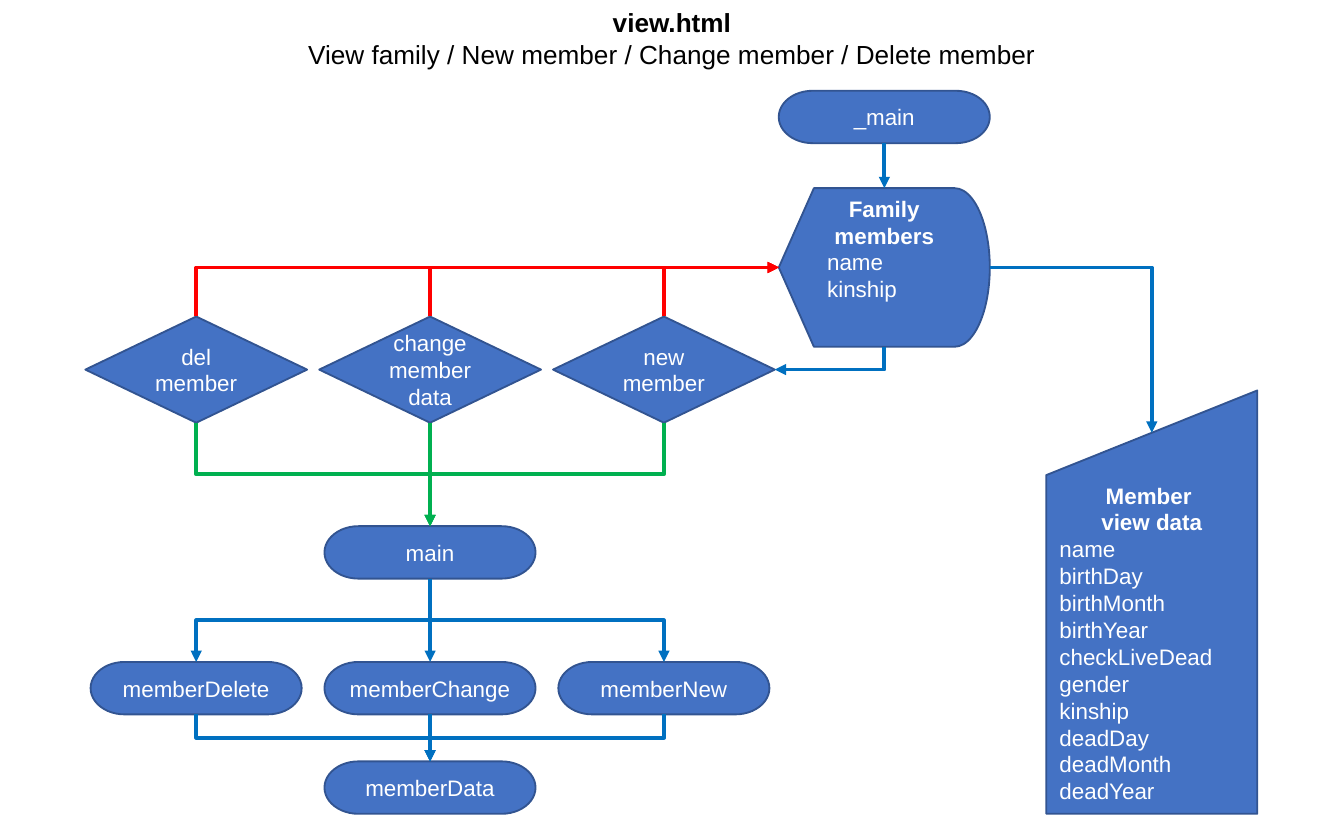
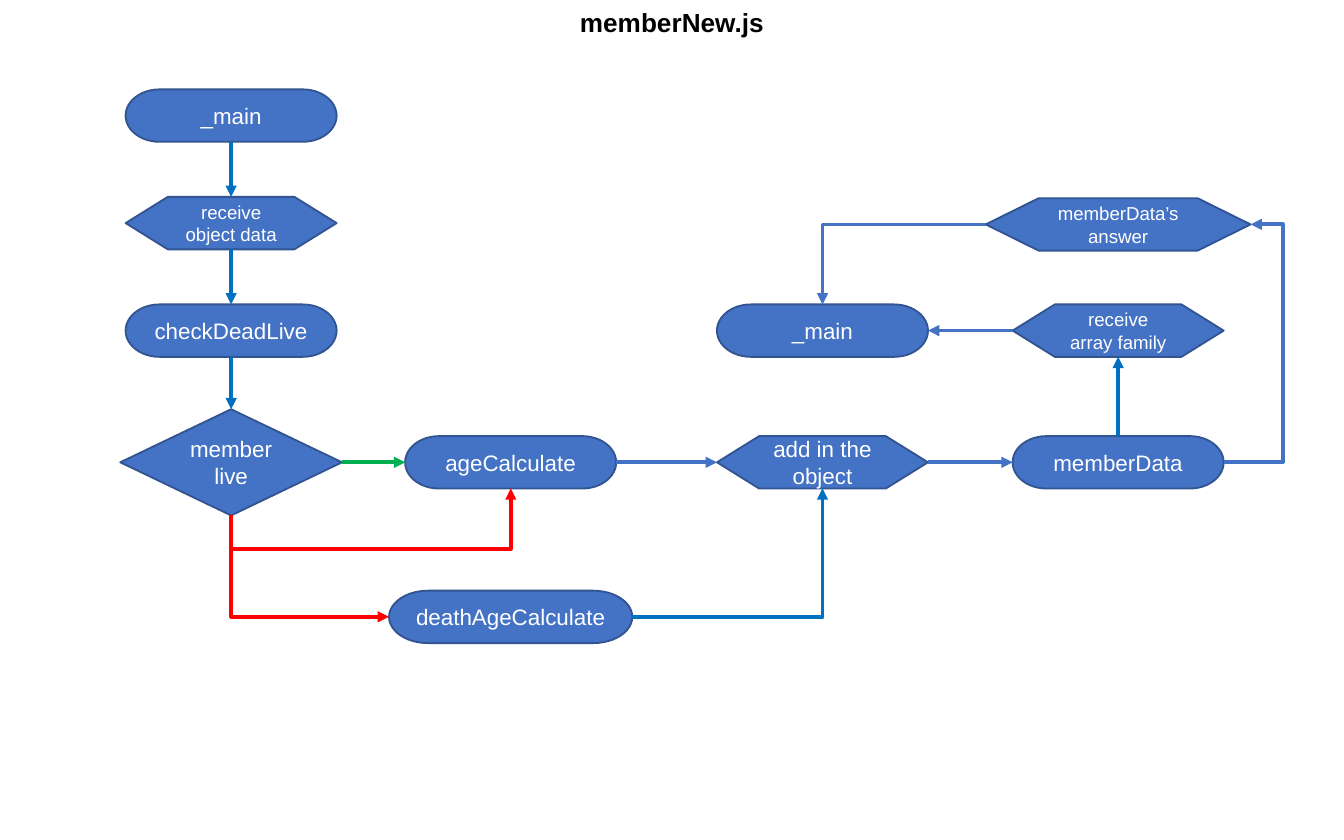
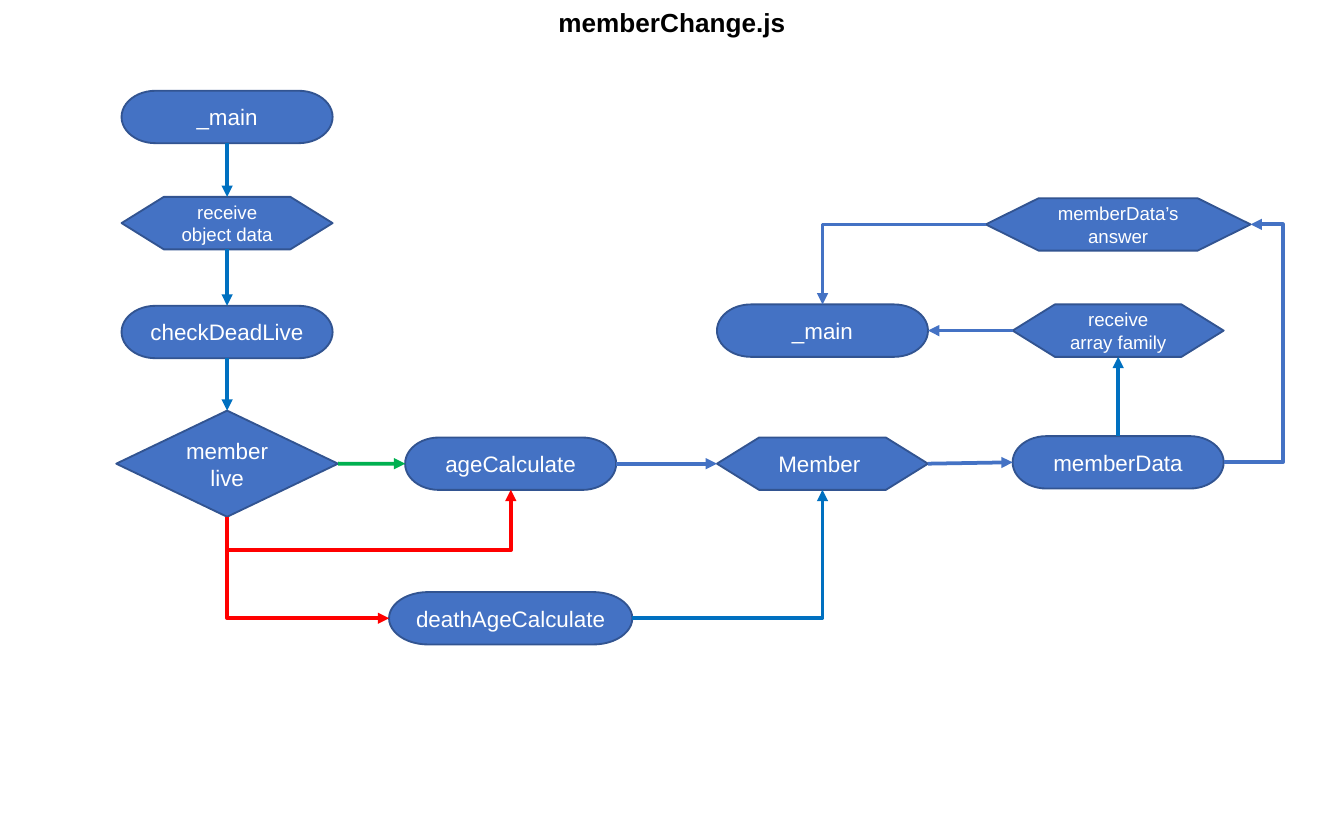
from lxml import etree
from pptx import Presentation
from pptx import util as u
from pptx.dml import color as dml
from pptx.enum import shapes, text
from pptx.oxml import ns

COLORS = {"node": "4472C4", "edge": "325491", "flow": "0070C0", "yes": "00B050",
          "no": "FF0000", "light": "FFFFFF", "dark": "000000"}
KINDS = shapes.MSO_SHAPE
TERMINAL = KINDS.FLOWCHART_TERMINATOR
PREPARE = KINDS.FLOWCHART_PREPARATION
DECIDE = KINDS.FLOWCHART_DECISION
TOP, LEFT, BOTTOM, RIGHT = range(4)
NODE = (1.57, 0.39)
DIAMOND = (1.65, 0.79)


class Flow:
    """Flowchart style together with the slide being drawn."""

    def __init__(self, prs):
        self.prs = prs
        self.s = None

    def rgb(self, name):
        return dml.RGBColor.from_string(COLORS[name])

    def slide(self, title, subtitle=None):
        self.s = self.prs.slides.add_slide(self.prs.slide_layouts[6])
        lines = [title] + ([subtitle] if subtitle else [])
        sp = self.s.shapes.add_textbox(0, 0, self.prs.slide_width,
                                       u.Inches(0.1 + 0.24 * len(lines)))
        tf = sp.text_frame
        tf.word_wrap = True
        tf.auto_size = text.MSO_AUTO_SIZE.SHAPE_TO_FIT_TEXT
        self.label(tf, lines, "dark", 14, heads=1)

    def label(self, tf, lines, color, size, heads=0, body=text.PP_ALIGN.CENTER):
        for i, line in enumerate(lines):
            p = tf.paragraphs[0] if i == 0 else tf.add_paragraph()
            p.text = line
            p.alignment = text.PP_ALIGN.CENTER if i < heads else body
            font = {"name": "Arial", "size": u.Pt(size), "bold": i < heads}
            for r in p.runs:
                for key, value in font.items():
                    setattr(r.font, key, value)
                r.font.color.rgb = self.rgb(color)

    def node(self, kind, x, y, label, size=12, box=NODE, heads=0):
        w, h = box
        sp = self.s.shapes.add_shape(kind, u.Inches(x - w / 2), u.Inches(y - h / 2),
                                     u.Inches(w), u.Inches(h))
        sp.shadow.inherit = False
        sp.fill.solid()
        sp.fill.fore_color.rgb = self.rgb("node")
        sp.line.color.rgb = self.rgb("edge")
        sp.line.width = u.Pt(1)
        tf = sp.text_frame
        tf.word_wrap = True
        anchor, align = text.MSO_ANCHOR, text.PP_ALIGN
        tf.vertical_anchor = anchor.TOP if heads else anchor.MIDDLE
        self.label(tf, label.split("\n"), "light", size, heads,
                   align.LEFT if heads else align.CENTER)
        return sp

    def site(self, sp, side):
        if side % 2:
            return sp.left + (sp.width if side == RIGHT else 0), sp.top + sp.height // 2
        x = sp.left + sp.width // 2
        if side == BOTTOM:
            return x, sp.top + sp.height
        slant = sp.auto_shape_type == KINDS.FLOWCHART_MANUAL_INPUT
        return x, sp.top + (sp.height // 10 if slant else 0)

    def finish(self, line, color):
        line.line.color.rgb = self.rgb(color)
        line.line.width = u.Pt(2)
        props = line.element.spPr
        etree.SubElement(props.find(ns.qn("a:ln")), ns.qn("a:tailEnd"), type="triangle")
        etree.SubElement(props, ns.qn("a:effectLst"))

    def arrow(self, start, side, end, end_side, color="flow"):
        line = self.s.shapes.add_connector(shapes.MSO_CONNECTOR.STRAIGHT,
                                           *self.site(start, side), *self.site(end, end_side))
        line.begin_connect(start, side)
        line.end_connect(end, end_side)
        self.finish(line, color)

    def elbow(self, start, side, end, end_side, color="flow", detour=None):
        (x1, y1), (x2, y2) = self.site(start, side), self.site(end, end_side)
        dx, dy = x2 - x1, y2 - y1
        w, h = abs(dx), abs(dy)
        if side % 2:
            along = dx
            turn, flip_h, flip_v = (180, False, dy > 0) if dx < 0 else (0, False, dy < 0)
        else:
            along, w, h = dy, h, w
            turn, flip_h, flip_v = ((270, True, False) if dx > 0 and dy > 0
                                    else (90, dy < 0, dx > 0))
        left, top = (x1 + x2 - w) // 2, (y1 + y2 - h) // 2
        line = self.s.shapes.add_connector(shapes.MSO_CONNECTOR.ELBOW,
                                           left, top, left + w, top + h)
        props = line.element.spPr
        frame, geom = props.find(ns.qn("a:xfrm")), props.find(ns.qn("a:prstGeom"))
        for key, value in {"rot": turn * 60000, "flipH": int(flip_h),
                           "flipV": int(flip_v)}.items():
            frame.set(key, str(value))
        if side % 2 != end_side % 2:
            geom.set("prst", "bentConnector2")
        elif detour:
            ratio = round(u.Inches(detour) / along * 100000)
            etree.SubElement(geom.find(ns.qn("a:avLst")), ns.qn("a:gd"),
                             name="adj1", fmla=f"val {ratio}")
        self.finish(line, color)


def view_slide(flow):
    """Draw the family view with its member actions."""
    flow.slide("view.html", "View family / New member / Change member / Delete member")
    columns = [1.46 + 1.74 * i for i in range(3)]
    start = flow.node(TERMINAL, 6.58, 0.87, "_main")
    family = flow.node(KINDS.FLOWCHART_DISPLAY, 6.58, 1.99, "Family\nmembers\nname\nkinship",
                       box=(1.57, 1.18), heads=2)
    fields = ["Member \vview data", "name", "birthDay", "birthMonth", "birthYear",
              "checkLiveDead", "gender", "kinship", "deadDay", "deadMonth", "deadYear"]
    details = flow.node(KINDS.FLOWCHART_MANUAL_INPUT, 8.57, 4.48, "\n".join(fields),
                        box=(1.57, 3.15), heads=1)
    choices = [flow.node(DECIDE, x, 2.75, label, box=DIAMOND) for x, label in
               zip(columns, ("del\nmember", "change member data", "new member"))]
    main = flow.node(TERMINAL, columns[1], 4.11, "main")
    actions = [flow.node(TERMINAL, x, 5.12, label) for x, label in
               zip(columns, ("memberDelete", "memberChange", "memberNew"))]
    data = flow.node(TERMINAL, columns[1], 5.86, "memberData")

    flow.arrow(start, BOTTOM, family, TOP)
    flow.elbow(family, RIGHT, details, TOP)
    flow.elbow(family, BOTTOM, choices[2], RIGHT)
    for i, (choice, action) in enumerate(zip(choices, actions)):
        link = flow.arrow if i == 1 else flow.elbow
        flow.elbow(choice, TOP, family, LEFT, "no")
        link(choice, BOTTOM, main, TOP, "yes")
        link(main, BOTTOM, action, TOP)
        link(action, BOTTOM, data, TOP)


def script_slide(flow, title, x, first, drop, step):
    """Draw the flow of one member script."""
    flow.slide(title)
    row = 3.44 + drop
    start = flow.node(TERMINAL, x, first, "_main")
    receive = flow.node(PREPARE, x, 1.66, "receive object data", 10)
    check = flow.node(TERMINAL, x, 2.46 + drop, "checkDeadLive")
    live = flow.node(DECIDE, x, row, "member live", box=DIAMOND)
    age = flow.node(TERMINAL, 3.8, row, "ageCalculate")
    death = flow.node(TERMINAL, 3.8, row + 1.15, "deathAgeCalculate", box=(1.81, 0.39))
    change = flow.node(PREPARE, 6.12, row, step)
    data = flow.node(TERMINAL, 8.32, 3.44, "memberData")
    family = flow.node(PREPARE, 8.32, 2.46, "receive array family", 10)
    answer = flow.node(PREPARE, 8.32, 1.67, "memberData\u2019s answer", 10, (1.97, 0.39))
    end = flow.node(TERMINAL, 6.12, 2.46, "_main")

    for upper, lower in ((start, receive), (receive, check), (check, live)):
        flow.arrow(upper, BOTTOM, lower, TOP)
    flow.arrow(live, RIGHT, age, LEFT, "yes")
    flow.elbow(live, BOTTOM, death, LEFT, "no")
    flow.elbow(live, BOTTOM, age, BOTTOM, "no", detour=0.25)
    flow.elbow(death, RIGHT, change, BOTTOM)
    flow.arrow(age, RIGHT, change, LEFT, "node")
    flow.arrow(change, RIGHT, data, LEFT, "node")
    flow.arrow(data, TOP, family, BOTTOM)
    flow.arrow(family, LEFT, end, RIGHT, "node")
    flow.elbow(data, RIGHT, answer, RIGHT, "node", detour=0.44)
    flow.elbow(answer, LEFT, end, TOP, "node")


prs = Presentation()
prs.slide_width, prs.slide_height = u.Inches(10), u.Inches(6.25)
flow = Flow(prs)
view_slide(flow)
script_slide(flow, "memberNew.js", 1.72, 0.86, 0, "add in the\nobject")
script_slide(flow, "memberChange.js", 1.69, 0.87, 0.01, "Member ")
prs.save("out.pptx")
